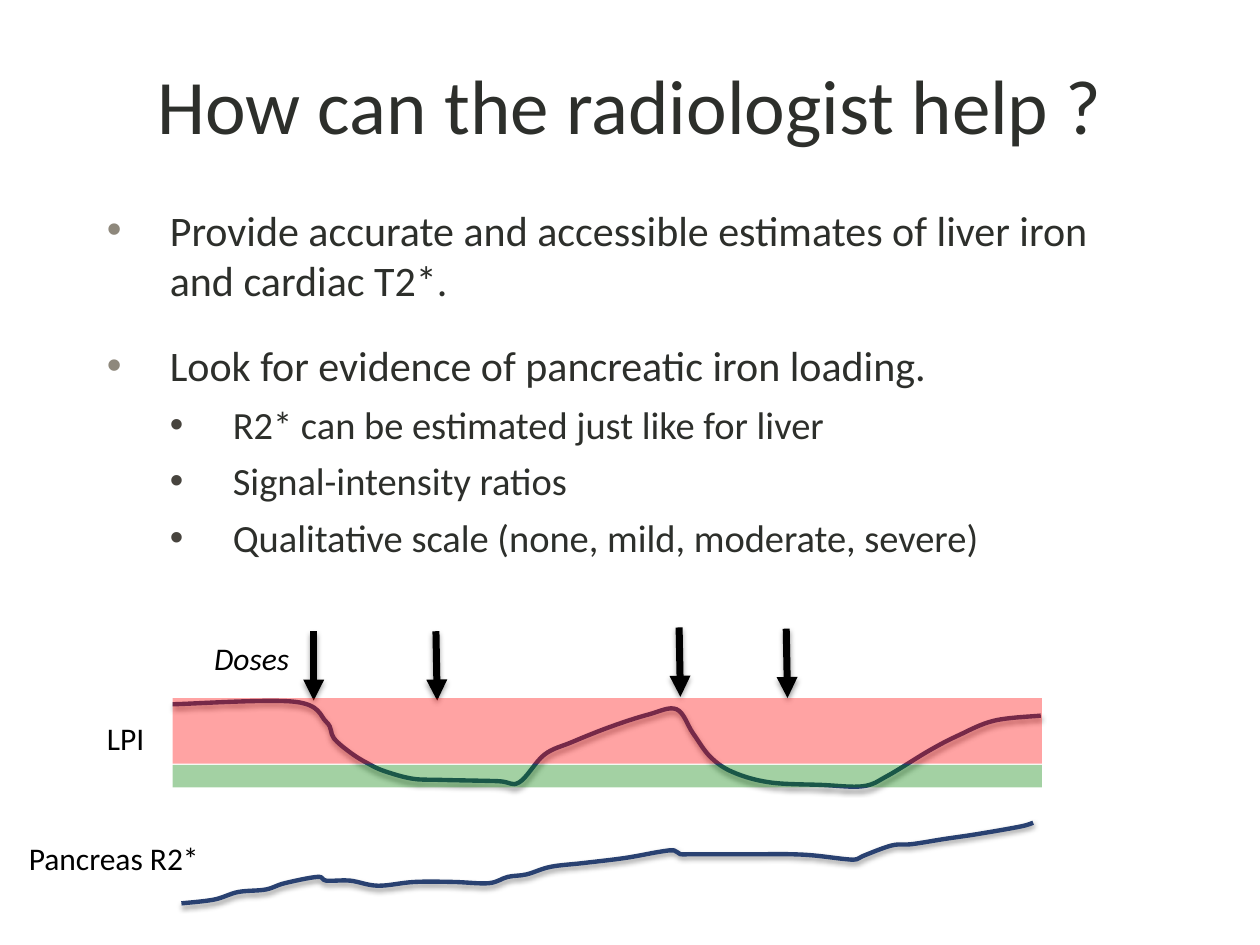
from lxml import etree
from pptx import Presentation, util as u
from pptx.dml.color import RGBColor
from pptx.enum import shapes, text
from pptx.oxml.ns import qn

FONT = "Calibri"
INK = "2D2F2B"
BLACK = "000000"
CURVE_BLUE = "294171"
CHART_LEFT, CHART_WIDTH = 1.37, 6.9

# (text, level)
POINTS = [
    ("Provide accurate and accessible estimates of liver iron and cardiac T2*.", 0),
    ("Look for evidence of pancreatic iron loading.", 0),
    ("R2* can be estimated just like for liver", 1),
    ("Signal-intensity ratios", 1),
    ("Qualitative scale (none, mild, moderate, severe)", 1),
]
# level: (size, space before, bullet colour)
LEVELS = {0: (24, 20, "8E887C"), 1: (22, 6, "47443E")}

# (x at the tail, x at the tip, top)
DOSES = [(2.49, 2.49, 5.01), (3.46, 3.47, 5.01), (5.39, 5.4, 4.98), (6.24, 6.25, 4.99)]
DOSE_LENGTH = 0.55

# (top, height, colour)
LPI_BANDS = [(5.54, 0.52, "FF0000"), (6.07, 0.18, "008000")]

# (text, left, top, width, italic)
LABELS = [
    ("LPI", 0.75, 5.66, 0.62, False),
    ("Doses", 1.6, 5.02, 0.85, True),
    ("Pancreas R2*", 0.13, 6.61, 1.65, False),
]

LPI_LEVEL = [
    (1.37, 5.59), (2.34, 5.57), (2.59, 5.73), (2.65, 5.86), (2.79, 5.98),
    (2.92, 6.06), (3.05, 6.12), (3.27, 6.18), (3.49, 6.19), (3.95, 6.2),
    (4.12, 6.21), (4.32, 5.99), (4.54, 5.89), (4.84, 5.77), (5.15, 5.67),
    (5.37, 5.63), (5.5, 5.82), (5.64, 6.01), (5.82, 6.13), (6.11, 6.21),
    (6.52, 6.23), (6.85, 6.24), (7.04, 6.16), (7.37, 5.96), (7.6, 5.84),
    (7.89, 5.72), (8.26, 5.68),
]
PANCREAS_R2 = [
    (1.44, 7.17), (1.7, 7.14), (1.89, 7.08), (2.11, 7.06), (2.26, 7.01),
    (2.52, 6.96), (2.59, 6.99), (2.78, 6.99), (3, 7.03), (3.29, 7),
    (3.6, 7), (3.88, 7.01), (4.03, 6.96), (4.18, 6.94), (4.37, 6.88),
    (4.63, 6.85), (4.96, 6.81), (5.24, 6.76), (5.35, 6.75), (5.4, 6.78),
    (5.49, 6.78), (5.79, 6.78), (6.03, 6.78), (6.27, 6.78), (6.46, 6.79),
    (6.72, 6.82), (6.8, 6.82), (6.86, 6.79), (7.08, 6.71), (7.24, 6.7),
    (7.49, 6.66), (7.76, 6.62), (8.1, 6.56), (8.2, 6.53),
]


def color(hex_string):
    return RGBColor.from_string(hex_string)


def add_xml(parent, tag, **attributes):
    values = {name: str(value) for name, value in attributes.items()}
    return etree.SubElement(parent, qn(tag), values)


def set_font(paragraph, size, hex_string, italic=False):
    font = paragraph.font
    font.name, font.size, font.italic = FONT, u.Pt(size), italic
    font.color.rgb = color(hex_string)


def style_line(shape, hex_string, width):
    """Set a coloured line with a soft shadow below it."""
    shape.line.color.rgb = color(hex_string)
    shape.line.width = u.Pt(width)
    effects = add_xml(shape._element.spPr, "a:effectLst")
    shadow = add_xml(effects, "a:outerShdw", blurRad=u.Pt(3.1), dist=u.Pt(1.6),
                     dir=90 * 60000, rotWithShape=0)
    shade = add_xml(shadow, "a:srgbClr", val=BLACK)
    add_xml(shade, "a:alpha", val=38000)


def add_title(slide, wording):
    title = slide.shapes.title
    title.left, title.top = u.Inches(0.75), u.Inches(0.07)
    title.width, title.height = u.Inches(8.5), u.Inches(1.5)
    title.text_frame.text = wording
    title.text_frame.vertical_anchor = text.MSO_ANCHOR.MIDDLE
    heading = title.text_frame.paragraphs[0]
    heading.alignment = text.PP_ALIGN.CENTER
    set_font(heading, 44, INK)


def add_points(slide):
    frame = slide.shapes.add_textbox(u.Inches(0.75), u.Inches(1.57),
                                     u.Inches(8.5), u.Inches(3.41)).text_frame
    frame.word_wrap = True
    for index, (wording, level) in enumerate(POINTS):
        point = frame.add_paragraph() if index else frame.paragraphs[0]
        size, space_before, bullet_color = LEVELS[level]
        point.text, point.level = wording, level
        point.space_before = u.Pt(space_before if index else 0)
        properties = point._p.get_or_add_pPr()
        properties.set("marL", str(u.Inches(0.5 * (level + 1))))
        properties.set("indent", str(u.Inches(-0.5)))
        add_xml(add_xml(properties, "a:buClr"), "a:srgbClr", val=bullet_color)
        add_xml(properties, "a:buFont", typeface="Arial")
        add_xml(properties, "a:buChar", char="•")
        set_font(point, size, INK)


def add_curve(slide, knots):
    """Draw a smooth (Catmull-Rom) curve through the knots."""
    points = [(u.Inches(x), u.Inches(y)) for x, y in knots]
    builder = slide.shapes.build_freeform(*points[0])
    builder.add_line_segments(points[1:], close=False)
    curve = builder.convert_to_shape()
    curve.fill.background()
    style_line(curve, CURVE_BLUE, 2.5)

    local = [(x - curve.left, y - curve.top) for x, y in points]
    padded = [local[0], *local, local[-1]]
    segments = list(curve._element.iter(qn("a:lnTo")))
    for segment, before, start, end, after in zip(
            segments, padded, padded[1:], padded[2:], padded[3:]):
        leaving = [s + (e - b) / 6 for s, e, b in zip(start, end, before)]
        arriving = [e - (a - s) / 6 for e, a, s in zip(end, after, start)]
        bezier = etree.Element(qn("a:cubicBezTo"))
        for x, y in (leaving, arriving, end):
            add_xml(bezier, "a:pt", x=round(x), y=round(y))
        segment.getparent().replace(segment, bezier)


def add_dose_arrow(slide, tail_x, tip_x, top):
    arrow = slide.shapes.add_connector(
        shapes.MSO_CONNECTOR.STRAIGHT, u.Inches(tail_x), u.Inches(top),
        u.Inches(tip_x), u.Inches(top + DOSE_LENGTH))
    style_line(arrow, BLACK, 4)
    add_xml(arrow.line._get_or_add_ln(), "a:tailEnd", type="triangle")


def add_band(slide, top, height, hex_string):
    band = slide.shapes.add_shape(
        shapes.MSO_SHAPE.RECTANGLE, u.Inches(CHART_LEFT), u.Inches(top),
        u.Inches(CHART_WIDTH), u.Inches(height))
    band.shadow.inherit = False
    band.line.fill.background()
    band.fill.solid()
    band.fill.fore_color.rgb = color(hex_string)
    tint = band._element.spPr.find(qn("a:solidFill"))[0]
    add_xml(tint, "a:alpha", val=36000)


def add_label(slide, wording, left, top, width, italic):
    frame = slide.shapes.add_textbox(u.Inches(left), u.Inches(top),
                                     u.Inches(width), u.Inches(0.4)).text_frame
    frame.word_wrap = False
    frame.auto_size = text.MSO_AUTO_SIZE.SHAPE_TO_FIT_TEXT
    frame.text = wording
    set_font(frame.paragraphs[0], 18, BLACK, italic)


def main():
    deck = Presentation()
    deck.slide_width, deck.slide_height = u.Inches(10), u.Inches(7.5)
    slide = deck.slides.add_slide(deck.slide_layouts[5])
    add_title(slide, "How can the radiologist help ?")
    add_points(slide)
    add_curve(slide, LPI_LEVEL)
    for dose in DOSES:
        add_dose_arrow(slide, *dose)
    for band in LPI_BANDS:
        add_band(slide, *band)
    add_curve(slide, PANCREAS_R2)
    for label in LABELS:
        add_label(slide, *label)
    deck.save("out.pptx")


if __name__ == "__main__":
    main()
